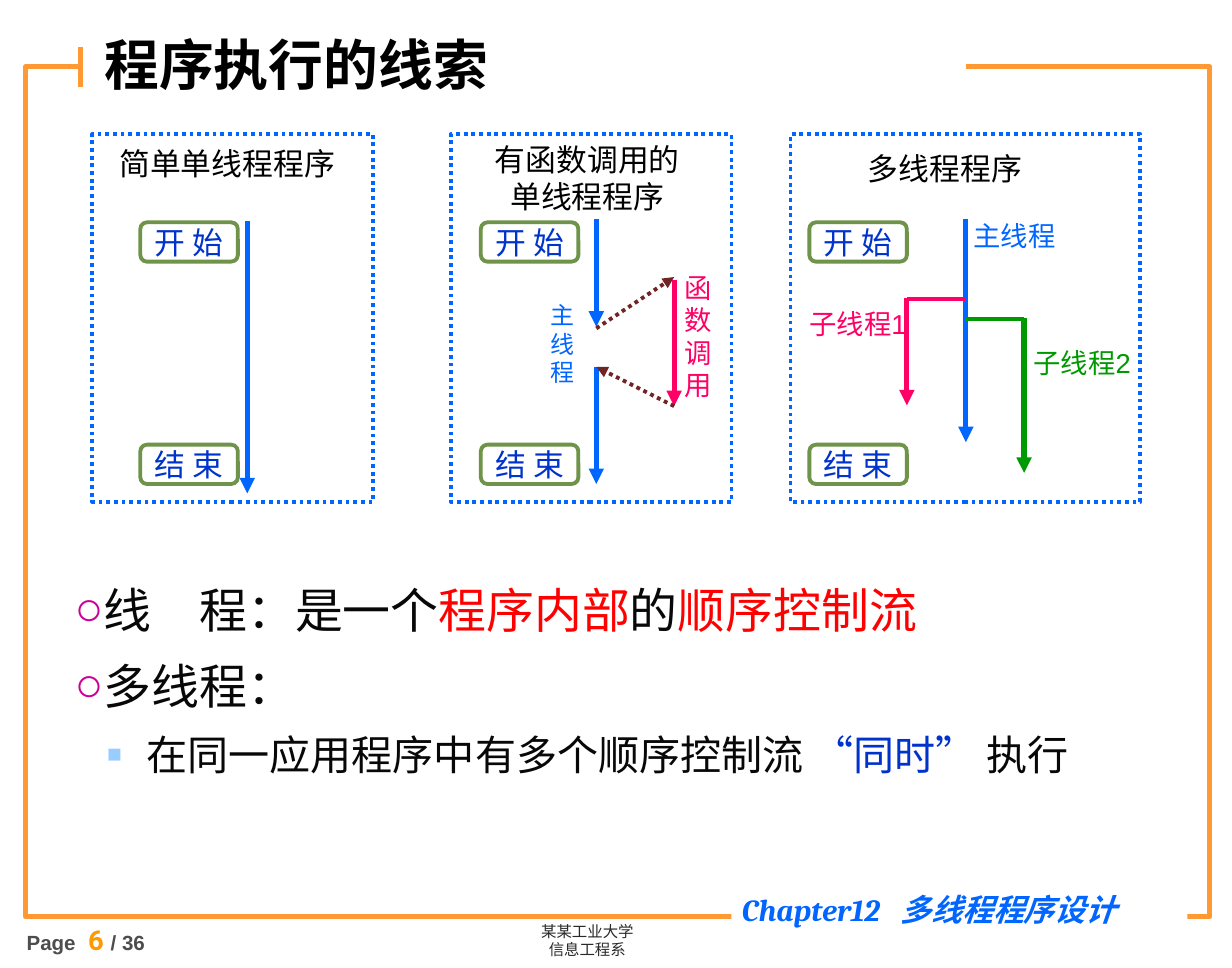
from dataclasses import dataclass

import pptx
import pptx.dml.color
import pptx.enum.dml
import pptx.enum.shapes
import pptx.enum.text
import pptx.oxml
import pptx.oxml.ns
import pptx.util

Pt = pptx.util.Pt
SHAPE = pptx.enum.shapes.MSO_SHAPE
ALIGN = pptx.enum.text.PP_ALIGN
ANCHOR = pptx.enum.text.MSO_ANCHOR
DOTS = pptx.enum.dml.MSO_LINE.ROUND_DOT  # sysDot

COLORS = {
    "white": "FFFFFF", "black": "000000", "ink": "080808", "orange": "FF9933",
    "page": "FF9900", "gray": "4D4D4D", "school": "292929", "main": "0066FF",
    "child1": "FF0066", "child2": "009900", "call": "702424", "node": "6E9349",
    "navy": "0033CC", "red": "FF0000", "ring": "CC0099", "square": "99CCFF",
}
CJK = "Noto Sans CJK SC"


@dataclass
class Run:
    text: str
    size: float
    color: str
    font: str = "Arial"
    bold: bool = False
    italic: bool = False


@dataclass
class Box:
    left: float
    top: float
    width: float
    height: float


@dataclass
class Label:
    lines: list[str]
    box: Box
    size: float = 18
    color: str = "black"
    outline: str | None = None


@dataclass
class Arrow:
    start: tuple[float, float]
    end: tuple[float, float]
    color: str
    weight: float = 3
    dotted: bool = False
    head: bool = True


@dataclass
class Bullet:
    runs: list[Run]
    mark: str
    color: str
    percent: int
    margin: float
    hanging: float
    pitch: float
    level: int = 0


def rgb(name: str) -> pptx.dml.color.RGBColor:
    return pptx.dml.color.RGBColor.from_string(COLORS[name])


def element(tag: str, attributes: str = "", inner: str = ""):
    namespace = pptx.oxml.ns.nsdecls("a")
    return pptx.oxml.parse_xml(f"<a:{tag} {namespace} {attributes}>{inner}</a:{tag}>")


def add_run(paragraph, run: Run) -> None:
    piece = paragraph.add_run()
    piece.text = run.text
    font = piece.font
    font.name, font.size, font.color.rgb = run.font, Pt(run.size), rgb(run.color)
    font.bold, font.italic = run.bold, run.italic
    piece.font._element.append(element("ea", f'typeface="{CJK}"'))


def fill_text(frame, lines: list[list[Run]], align=ALIGN.LEFT, pitch: float | None = None) -> list:
    for _ in lines[1:]:
        frame.add_paragraph()
    for paragraph, runs in zip(frame.paragraphs, lines):
        paragraph.alignment = align
        if pitch:
            paragraph.line_spacing = Pt(pitch)
        for run in runs:
            add_run(paragraph, run)
    return list(frame.paragraphs)


def add_text(slide, box: Box, lines: list[list[Run]], align=ALIGN.LEFT,
             pitch: float | None = None, anchor=ANCHOR.TOP) -> list:
    frame = slide.shapes.add_textbox(Pt(box.left), Pt(box.top), Pt(box.width), Pt(box.height)).text_frame
    frame.word_wrap = True
    frame.vertical_anchor = anchor
    return fill_text(frame, lines, align, pitch)


def add_block(slide, kind, box: Box, fill: str | None = None, outline: str | None = None,
              weight: float = 2.25, dotted: bool = False):
    block = slide.shapes.add_shape(kind, Pt(box.left), Pt(box.top), Pt(box.width), Pt(box.height))
    block.shadow.inherit = False
    if fill:
        block.fill.solid()
        block.fill.fore_color.rgb = rgb(fill)
    else:
        block.fill.background()
    if outline:
        block.line.color.rgb = rgb(outline)
        block.line.width = Pt(weight)
        if dotted:
            block.line.dash_style = DOTS
    else:
        block.line.fill.background()
    return block


def add_label(slide, label: Label) -> None:
    frame = add_block(slide, SHAPE.FLOWCHART_ALTERNATE_PROCESS, label.box, outline=label.outline).text_frame
    frame.word_wrap = False
    frame.vertical_anchor = ANCHOR.MIDDLE
    pitch = 1.19 * label.size if len(label.lines) > 1 else None
    fill_text(frame, [[Run(line, label.size, label.color)] for line in label.lines], ALIGN.CENTER, pitch)


def add_arrow(slide, arrow: Arrow) -> None:
    ends = [Pt(value) for value in (*arrow.start, *arrow.end)]
    line = slide.shapes.add_connector(pptx.enum.shapes.MSO_CONNECTOR.STRAIGHT, *ends)
    line.line.color.rgb = rgb(arrow.color)
    line.line.width = Pt(arrow.weight)
    if arrow.dotted:
        line.line.dash_style = DOTS
    properties = line._element.spPr
    if arrow.head:
        properties.find(pptx.oxml.ns.qn("a:ln")).append(element("tailEnd", 'type="triangle"'))
    properties.append(element("effectLst"))


def add_bullets(slide, box: Box, bullets: list[Bullet]) -> None:
    paragraphs = add_text(slide, box, [bullet.runs for bullet in bullets])
    for paragraph, bullet in zip(paragraphs, bullets):
        paragraph.level = bullet.level
        paragraph.line_spacing = Pt(bullet.pitch)
        properties = paragraph._p.get_or_add_pPr()
        properties.set("marL", str(Pt(bullet.margin)))
        properties.set("indent", str(-Pt(bullet.hanging)))
        properties.append(element("buClr", inner=f'<a:srgbClr val="{COLORS[bullet.color]}"/>'))
        properties.append(element("buSzPct", f'val="{bullet.percent * 1000}"'))
        properties.append(element("buFont", 'typeface="Arial"'))
        properties.append(element("buChar", f'char="{bullet.mark}"'))


# Panels: left and width of each dotted border, left of its start and end nodes
PANELS = [(54, 164, 82), (263.5, 164, 281), (462, 204.5, 473)]
PANEL_TOP, PANEL_HEIGHT = 78.5, 215
NODES = {"开 始": 130, "结 束": 260}

LABELS = [
    Label(["简单单线程程序"], Box(70.5, 84, 124.5, 23)),
    Label(["有函数调用的", "单线程程序"], Box(281, 84, 124.5, 40)),
    Label(["多线程程序"], Box(490, 84, 124.5, 29)),
    Label(list("主线程"), Box(314.5, 158.5, 28, 85), 14, "main"),
    Label(list("函数调用"), Box(394, 154, 28, 85), 16, "child1"),
    Label(["主线程"], Box(564.5, 129.5, 57, 17), 16, "main"),
    Label(["子线程1"], Box(473, 180.5, 57, 17), 16, "child1"),
    Label(["子线程2"], Box(604, 203.5, 57, 17), 16, "child2"),
]

ARROWS = [
    Arrow((144.5, 129.5), (144.5, 288.5), "main"),
    # Call and return
    Arrow((348.5, 128), (348.5, 191), "main"),
    Arrow((348.5, 214.5), (348.5, 283), "main"),
    Arrow((394, 163.5), (394, 237.5), "child1"),
    Arrow((348.5, 192), (394, 162), "call", 2.25, dotted=True),
    Arrow((394, 237.5), (348.5, 214.5), "call", 2.25, dotted=True),
    # Main thread with two branches
    Arrow((564.5, 128), (564.5, 258.5), "main"),
    Arrow((564.5, 175), (530, 175), "child1", 2.25, head=False),
    Arrow((530, 174), (530, 237), "child1"),
    Arrow((564.5, 186.5), (598.5, 186.5), "child2", 2.25, head=False),
    Arrow((598.5, 186), (598.5, 276.5), "child2"),
]

BULLETS = [
    Bullet([Run("线　程：是一个", 28, "ink"), Run("程序内部", 28, "red"),
            Run("的", 28, "ink"), Run("顺序控制流", 28, "red")], "○", "ring", 100, 17, 17, 44.5),
    Bullet([Run("多线程：", 28, "ink")], "○", "ring", 100, 17, 17, 44.5),
    Bullet([Run("在同一应用程序中有多个顺序控制流 ", 24, "ink"), Run("“同时”", 24, "navy"),
            Run(" 执行", 24, "ink")], "■", "square", 60, 42, 23, 37.5, level=1),
]


def main() -> None:
    deck = pptx.Presentation()
    deck.slide_width, deck.slide_height = Pt(720), Pt(566)
    slide = deck.slides.add_slide(deck.slide_layouts[6])

    # Orange frame, opened behind the title and the chapter name
    add_block(slide, SHAPE.RECTANGLE, Box(15, 39, 692, 497), outline="orange", weight=3)
    add_block(slide, SHAPE.RECTANGLE, Box(48, 29.5, 516.5, 18), fill="white")
    add_block(slide, SHAPE.RECTANGLE, Box(427.5, 510, 266.5, 45), fill="white")
    add_arrow(slide, Arrow((47, 27.5), (47, 51), "orange", head=False))

    # Title and footer
    add_text(slide, Box(54, 14.5, 487.5, 45), [[Run("程序执行的线索", 32, "black", bold=True)]],
             anchor=ANCHOR.MIDDLE)
    add_text(slide, Box(241, 535.5, 204.5, 29),
             [[Run(line, 9, "school", CJK)] for line in ("某某工业大学", "信息工程系")],
             ALIGN.CENTER, pitch=10.8)
    add_text(slide, Box(8.5, 536, 102, 26.5),
             [[Run("Page ", 12, "gray", bold=True), Run(" 6 ", 16, "page", "Roboto", True),
               Run("/ 36", 12, "gray", bold=True)]])
    add_text(slide, Box(426.5, 517, 251, 26.5),
             [[Run(text, size, "main", "Cambria", True, True)
               for text, size in (("Chapter12", 18), ("　", 12), ("多线程程序设计", 18))]])

    # Three thread diagrams
    for left, width, node_left in PANELS:
        add_block(slide, SHAPE.RECTANGLE, Box(left, PANEL_TOP, width, PANEL_HEIGHT),
                  outline="main", dotted=True)
        for name, top in NODES.items():
            add_label(slide, Label([name], Box(node_left, top, 57, 23), color="navy", outline="node"))
    for arrow in ARROWS:
        add_arrow(slide, arrow)
    for label in LABELS:
        add_label(slide, label)

    # Definitions
    add_bullets(slide, Box(36.5, 325, 663, 130), BULLETS)
    deck.save("out.pptx")


if __name__ == "__main__":
    main()
